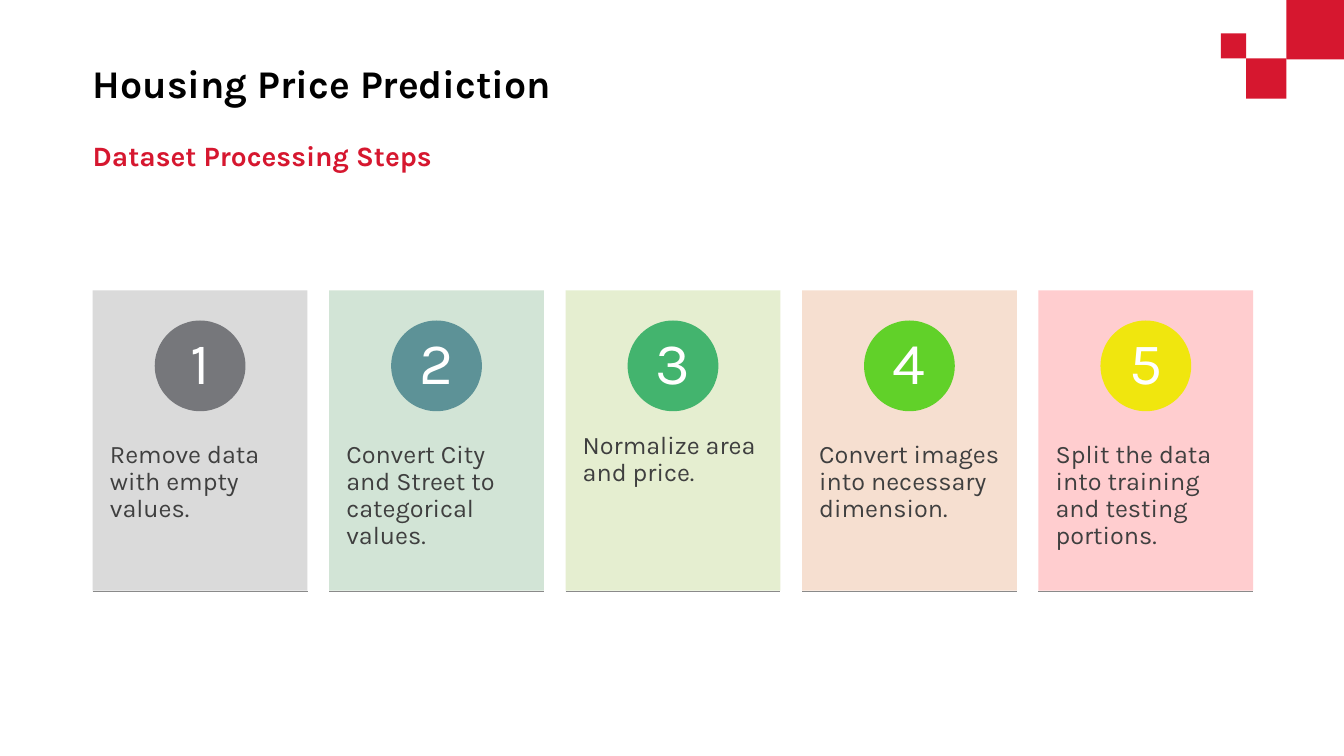
from lxml import etree
from pptx import Presentation
from pptx.dml.color import RGBColor
from pptx.enum.shapes import MSO_CONNECTOR, MSO_SHAPE
from pptx.enum.text import MSO_ANCHOR, PP_ALIGN
from pptx.oxml.ns import qn
from pptx.util import Inches, Pt

RECT, OVAL = MSO_SHAPE.RECTANGLE, MSO_SHAPE.OVAL
STRAIGHT = MSO_CONNECTOR.STRAIGHT
LEFT, CENTER = PP_ALIGN.LEFT, PP_ALIGN.CENTER
TOP, MIDDLE = MSO_ANCHOR.TOP, MSO_ANCHOR.MIDDLE

FONT = "Karla"
RED = RGBColor(0xD6, 0x17, 0x2F)
BLACK = RGBColor(0x00, 0x00, 0x00)
WHITE = RGBColor(0xFF, 0xFF, 0xFF)
DARK_GREY = RGBColor(0x3F, 0x3F, 0x3F)
RULE_GREY = RGBColor(0x8A, 0x8A, 0x8A)

MARGIN, CONTENT_W = 0.92, 11.51
CARD_TOP, CARD_W, CARD_H = 2.88, 2.13, 2.98
BADGE, BADGE_TOP = 0.9, 3.18
CARD_ALPHA = 90

CORNER_SQUARES = [(12.76, -0.01, 0.6), (12.36, 0.58, 0.4), (12.11, 0.33, 0.25)]

STEPS = [
    ("Remove data with empty values.",
     RGBColor(0xD6, 0xD6, 0xD7), RGBColor(0x76, 0x77, 0x7B)),
    ("Convert City and Street to categorical values.",
     RGBColor(0xCE, 0xE2, 0xD2), RGBColor(0x5D, 0x92, 0x97)),
    ("Normalize area and price.",
     RGBColor(0xE3, 0xED, 0xCB), RGBColor(0x43, 0xB4, 0x6E)),
    ("Convert images into necessary dimension.",
     RGBColor(0xF6, 0xDC, 0xCB), RGBColor(0x61, 0xD1, 0x29)),
    ("Split the data into training and testing portions.",
     RGBColor(0xFF, 0xC8, 0xCA), RGBColor(0xF0, 0xE6, 0x0E)),
]


def set_alpha(sp, percent):
    """Make the solid fill of a shape partly transparent."""
    color = sp._element.spPr.find(qn("a:solidFill"))[0]
    etree.SubElement(color, qn("a:alpha")).set("val", str(percent * 1000))


def add_block(s, kind, x, y, w, h, color):
    """Add a filled preset shape without outline or shadow."""
    sp = s.shapes.add_shape(kind, Inches(x), Inches(y), Inches(w), Inches(h))
    sp.shadow.inherit = False
    sp.fill.solid()
    sp.fill.fore_color.rgb = color
    sp.line.fill.background()
    return sp


def add_rule(s, x, y, w, color):
    """Add a thin horizontal line."""
    line = s.shapes.add_connector(
        STRAIGHT, Inches(x), Inches(y), Inches(x + w), Inches(y))
    line.line.color.rgb = color
    line.line.width = Pt(1)
    etree.SubElement(line._element.spPr, qn("a:effectLst"))


def write_text(sp, text, *, size, color, bold=False, align=LEFT, anchor=TOP,
               inset=(0, 0), spacing=1.0):
    """Write one formatted paragraph into a shape."""
    tf = sp.text_frame
    tf.word_wrap = True
    tf.vertical_anchor = anchor
    tf.margin_left = tf.margin_right = Inches(inset[0])
    tf.margin_top = tf.margin_bottom = Inches(inset[1])
    p = tf.paragraphs[0]
    p.alignment = align
    p.line_spacing = spacing
    r = p.add_run()
    r.text = text
    r.font.name = FONT
    r.font.size = Pt(size)
    r.font.bold = bold
    r.font.color.rgb = color


def add_text(s, x, y, w, h, text, **fmt):
    """Add a text box with one formatted paragraph."""
    box = s.shapes.add_textbox(Inches(x), Inches(y), Inches(w), Inches(h))
    write_text(box, text, **fmt)


def add_step(s, x, number, text, card_color, badge_color):
    """Add a card with a numbered badge, a description and a bottom rule."""
    card = add_block(s, RECT, x, CARD_TOP, CARD_W, CARD_H, card_color)
    set_alpha(card, CARD_ALPHA)
    add_text(s, x, 4.02, CARD_W, 1.79, text, size=18, color=DARK_GREY,
             inset=(0.17, 0.36), spacing=0.9)
    badge = add_block(s, OVAL, x + (CARD_W - BADGE) / 2, BADGE_TOP,
                      BADGE, BADGE, badge_color)
    write_text(badge, str(number), size=42, color=WHITE, align=CENTER,
               anchor=MIDDLE, inset=(0.07, 0.01), spacing=0.9)
    add_rule(s, x, CARD_TOP + CARD_H + 0.01, CARD_W, RULE_GREY)


def main():
    """Build the slide and save it."""
    prs = Presentation()
    prs.slide_width, prs.slide_height = Inches(13.33), Inches(7.5)
    s = prs.slides.add_slide(prs.slide_layouts[6])

    for x, y, side in CORNER_SQUARES:
        add_block(s, RECT, x, y, side, side, RED)
    add_text(s, MARGIN, 0.59, 11.5, 0.71, "Housing Price Prediction",
             size=28, color=BLACK, bold=True)
    add_text(s, MARGIN, 1.33, 11.5, 0.64, "Dataset Processing Steps",
             size=20, color=RED, bold=True, spacing=1.14)

    pitch = (CONTENT_W - CARD_W) / (len(STEPS) - 1)
    for i, step in enumerate(STEPS):
        add_step(s, MARGIN + i * pitch, i + 1, *step)

    prs.save("out.pptx")


if __name__ == "__main__":
    main()
